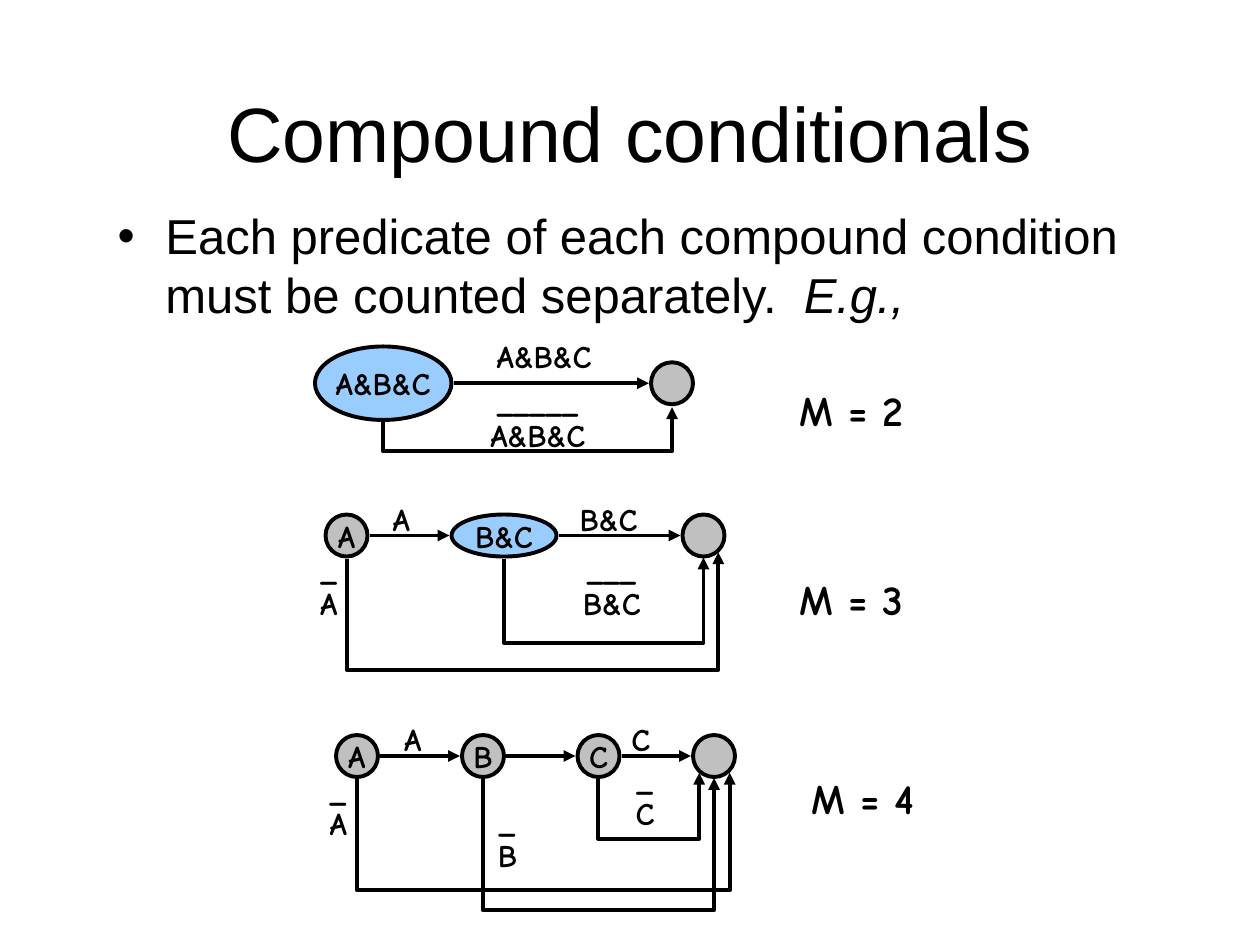
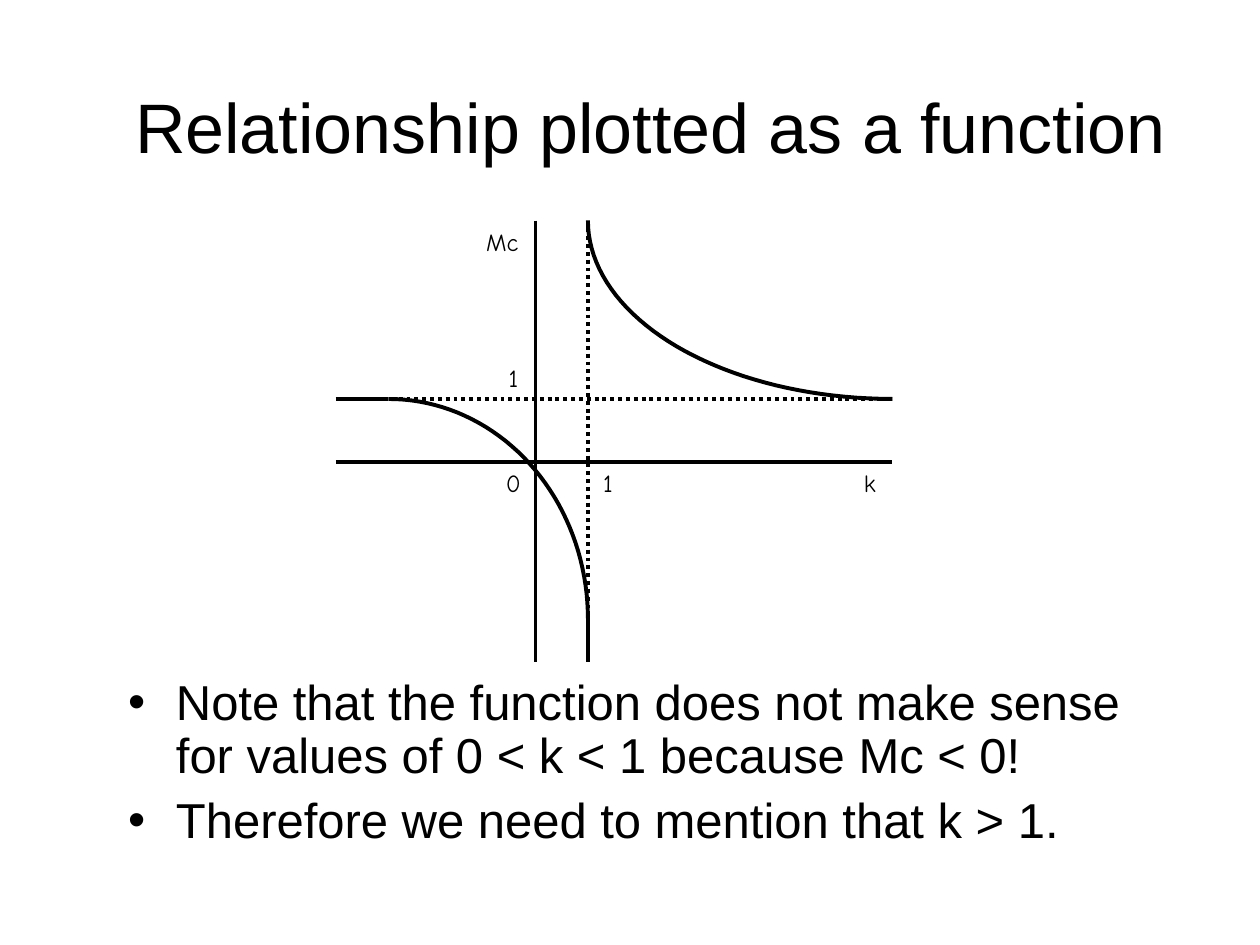
from dataclasses import dataclass
from itertools import pairwise
from math import cos, pi, sin

from lxml.etree import SubElement
from pptx import Presentation
from pptx.dml.color import RGBColor
from pptx.enum.dml import MSO_LINE
from pptx.enum.shapes import MSO_CONNECTOR as Connector, MSO_SHAPE as Shape
from pptx.enum.text import MSO_ANCHOR as Anchor, MSO_AUTO_SIZE as AutoSize, PP_ALIGN as Align
from pptx.oxml.ns import qn
from pptx.util import Emu, Inches, Pt

COLORS = {"ink": "000000", "sky": "99CCFF", "grey": "C0C0C0"}
SANS, COMIC = "Arial", "Comic Neue"
CELL = Inches(1) / 12
COLUMNS, ROWS = 120, 90
GAP = 0.2
LABEL_ROWS = 4.8


@dataclass
class Box:
    """A region whose parts are measured in grid cells from its corner."""
    left: float
    top: float

    def point(self, column, row):
        """Return the slide position of a grid point."""
        return Emu(round((self.left + column) * CELL)), Emu(round((self.top + row) * CELL))

    def place(self, column, row, columns, rows):
        """Return left, top, width and height of a part."""
        return *self.point(column, row), Emu(round(columns * CELL)), Emu(round(rows * CELL))


PAGE = Box(0, 0)


def color(name):
    """Look up a named colour."""
    return RGBColor.from_string(COLORS[name])


def style_font(font, name, size, bold=False):
    """Set the typeface, size and ink of a font."""
    font.name, font.size, font.bold = name, Pt(size), bold
    font.color.rgb = color("ink")


def style_line(line):
    """Give a line the shared weight and ink."""
    line.width = Pt(2.25)
    line.color.rgb = color("ink")


def write(shape, text, size=18, bold=True):
    """Put one centred unwrapped line of lettering in a shape."""
    frame = shape.text_frame
    frame.word_wrap, frame.vertical_anchor = False, Anchor.MIDDLE
    para = frame.paragraphs[0]
    para.text, para.alignment = text, Align.CENTER
    style_font(para.font, COMIC, size, bold)


def add_label(shapes, place, text, size=18, bold=True):
    """Add a free-standing label with no side margins."""
    label = shapes.add_textbox(*place)
    write(label, text, size, bold)
    frame = label.text_frame
    frame.auto_size = AutoSize.NONE
    frame.margin_left = frame.margin_right = 0


def add_line(shapes, begin, end, kind=Connector.STRAIGHT, arrow=False, dotted=False):
    """Draw a connector with an optional arrowhead or dots."""
    connector = shapes.add_connector(kind, *begin, *end)
    style_line(connector.line)
    if dotted:
        connector.line.dash_style = MSO_LINE.ROUND_DOT
    properties = connector._element.spPr
    if arrow:
        SubElement(properties.find(qn("a:ln")), qn("a:tailEnd"), type="triangle")
    SubElement(properties, qn("a:effectLst"))
    return connector


def add_loop(shapes, box, start, end, bottom):
    """Draw an elbow arrow that drops to a bottom row and climbs to its end."""
    span, rise = end[0] - start[0], start[1] - end[1]
    column, row = (start[0] + end[0]) / 2, (start[1] + end[1]) / 2
    loop = add_line(
        shapes,
        box.point(column + rise / 2, row + span / 2),
        box.point(column - rise / 2, row - span / 2),
        Connector.ELBOW, arrow=True)
    properties = loop._element.spPr
    properties.find(qn("a:xfrm")).set("rot", "5400000")
    adjustments = properties.find(qn("a:prstGeom")).find(qn("a:avLst"))
    ratio = round((start[1] - bottom) / rise * 100000)
    SubElement(adjustments, qn("a:gd"), name="adj1", fmla=f"val {ratio}")


def add_title(page, text, place, size):
    """Fill and format the title placeholder."""
    title = page.shapes.title
    title.left, title.top, title.width, title.height = PAGE.place(*place)
    frame = title.text_frame
    frame.auto_size, frame.vertical_anchor = AutoSize.NONE, Anchor.MIDDLE
    para = frame.paragraphs[0]
    para.text, para.alignment = text, Align.CENTER
    style_font(para.font, SANS, size)


def add_bullets(page, items, place, spacing=1.0):
    """Fill the body placeholder; each item lists plain then italic runs."""
    body = page.placeholders[1]
    body.left, body.top, body.width, body.height = PAGE.place(*place)
    frame = body.text_frame
    frame.auto_size = AutoSize.NONE
    for index, runs in enumerate(items):
        para = frame.add_paragraph() if index else frame.paragraphs[0]
        para.space_before, para.line_spacing = Pt(7), spacing
        style_font(para.font, SANS, 28)
        for position, text in enumerate(runs):
            span = para.add_run()
            span.text = text
            if position:
                span.font.italic = True
        settings = para._p.get_or_add_pPr()
        settings.set("marL", str(Inches(0.38)))
        settings.set("indent", str(-Inches(0.38)))
        bullet = settings.makeelement(qn("a:buChar"), {"char": "•"})
        settings.find(qn("a:defRPr")).addprevious(bullet)


def add_node(shapes, place, text, fill):
    """Draw one flow-graph node."""
    node = shapes.add_shape(Shape.OVAL, *place)
    node.shadow.inherit = False
    node.fill.solid()
    node.fill.fore_color.rgb = color(fill)
    style_line(node.line)
    if text:
        write(node, text)


def add_negation(shapes, box, column, row, text):
    """Group a label with the bar above it."""
    group = shapes.add_group_shape().shapes
    width, bar = 2.2 + 1.85 * len(text), 2.4 + 1.53 * len(text)
    add_label(group, box.place(column, row, width, LABEL_ROWS), text)
    add_label(group, box.place(column + (width - bar) / 2, row - 3, bar, LABEL_ROWS),
              "_" * len(text))


def add_flow_graph(page, box, nodes, loops, labels, negations, measure):
    """Draw nodes in a row, their arrows and loops, and the complexity."""
    shapes = page.shapes
    for column, row, columns, rows, text in nodes:
        add_node(shapes, box.place(column, row, columns, rows), text,
                 "sky" if "&" in text else "grey")
    for source, target in pairwise(nodes):
        middle = source[1] + source[3] / 2
        add_line(shapes, box.point(source[0] + source[2] + GAP, middle),
                 box.point(target[0] - GAP, middle), arrow=True)
    for index, end, bottom in loops:
        column, row, columns, rows, _ = nodes[index]
        add_loop(shapes, box, (column + columns / 2, row + rows + GAP), end, bottom)
    for column, row, text in labels:
        width = 2.2 + 1.85 * len(text)
        add_label(shapes, box.place(column, row, width, LABEL_ROWS), text)
    for negation in negations:
        add_negation(shapes, box, *negation)
    column, row, text = measure
    add_label(shapes, box.place(column, row, 12.2, 6), text, 24)


def add_curve(shapes, box, center, radii, start):
    """Draw a quarter ellipse from a starting angle as an open outline."""
    steps = 40
    angles = [start + pi / 2 * step / steps for step in range(steps + 1)]
    points = [box.point(center[0] + radii[0] * cos(angle), center[1] + radii[1] * sin(angle))
              for angle in angles]
    builder = shapes.build_freeform(*points[0])
    builder.add_line_segments(points[1:], close=False)
    curve = builder.convert_to_shape()
    curve.shadow.inherit = False
    curve.fill.background()
    style_line(curve.line)


def add_plot(page, box):
    """Draw the axes, asymptotes, curves and axis labels."""
    shapes = page.shapes
    width, height = 53, 42
    zero, zero_row, one, one_row = 19, 23, 24, 17
    flat_end, steep_start = 5, 38
    lines = [
        ((zero, 0), (zero, height), False),
        ((0, zero_row), (width, zero_row), False),
        ((one, 0), (one, height), True),
        ((0, one_row), (width, one_row), True),
        ((one, steep_start), (one, height), False),
        ((0, one_row), (flat_end, one_row), False),
    ]
    for begin, end, dotted in lines:
        add_line(shapes, box.point(*begin), box.point(*end), dotted=dotted)
    add_curve(shapes, box, (flat_end, steep_start),
              (one - flat_end, steep_start - one_row), -pi / 2)
    add_curve(shapes, box, (width, 0), (width - one, one_row), pi / 2)
    for column, row, columns, text in [
        (15, zero_row, 3.8, "0"), (24.3, zero_row, 3.2, "1"), (15.3, 13, 3.2, "1"),
        (13.1, 0, 5.5, "Mc"), (49.1, zero_row, 3.5, "k"),
    ]:
        add_label(shapes, box.place(column, row, columns, 4), text, 14, False)


def build_conditionals(page):
    """Build the slide on compound conditionals."""
    add_title(page, "Compound conditionals", (9, 5, 102, 15), 44)
    add_bullets(page, [[
        "Each predicate of each compound condition must be counted separately.  ",
        "E.g.,"]], (10, 19, 102, 13))
    add_flow_graph(
        page, Box(30, 33),
        nodes=[(0, 0, 13, 7, "A&B&C"), (32, 1.5, 4, 4, "")],
        loops=[(0, (34, 5.8), 10)],
        labels=[(16.1, -1.5, "A&B&C")],
        negations=[(15.5, 6, "A&B&C")],
        measure=(45, 3, "M = 2"))
    add_flow_graph(
        page, Box(31, 49),
        nodes=[(0, 0, 4, 4, "A"), (12, 0, 10, 4, "B&C"), (34, 0, 4, 4, "")],
        loops=[(1, (36, 4.1), 12.3), (0, (37.4, 3.6), 14.8)],
        labels=[(5.2, -2, "A"), (23.1, -2, "B&C")],
        negations=[(-1.7, 6, "A"), (23.4, 6, "B&C")],
        measure=(44, 5, "M = 3"))
    add_flow_graph(
        page, Box(32, 70),
        nodes=[(column, 0, 4, 4, text)
               for column, text in [(0, "A"), (12, "B"), (23, "C"), (34, "")]],
        loops=[(1, (36, 4.1), 16.8), (0, (37.5, 3.6), 14.8), (2, (34.6, 3.6), 9.9)],
        labels=[(5.3, -2, "A"), (27, -2, "C")],
        negations=[(-1.8, 6, "A"), (14.3, 9, "B"), (27.4, 5, "C")],
        measure=(44.1, 3, "M = 4"))


def build_function(page):
    """Build the slide with the plotted function."""
    add_title(page, " Relationship plotted as a function", (6, 5, 110, 14), 40)
    add_bullets(page, [
        ["Note that the function does not make sense for values of 0 < k < 1 because Mc < 0!"],
        ["Therefore we need to mention that k > 1."],
    ], (11, 64, 102, 22), 0.9)
    add_plot(page, Box(32, 21))


def main():
    """Build and save the deck."""
    deck = Presentation()
    deck.slide_width, deck.slide_height = Emu(round(COLUMNS * CELL)), Emu(round(ROWS * CELL))
    for build in (build_conditionals, build_function):
        build(deck.slides.add_slide(deck.slide_layouts[1]))
    deck.save("out.pptx")


if __name__ == "__main__":
    main()
